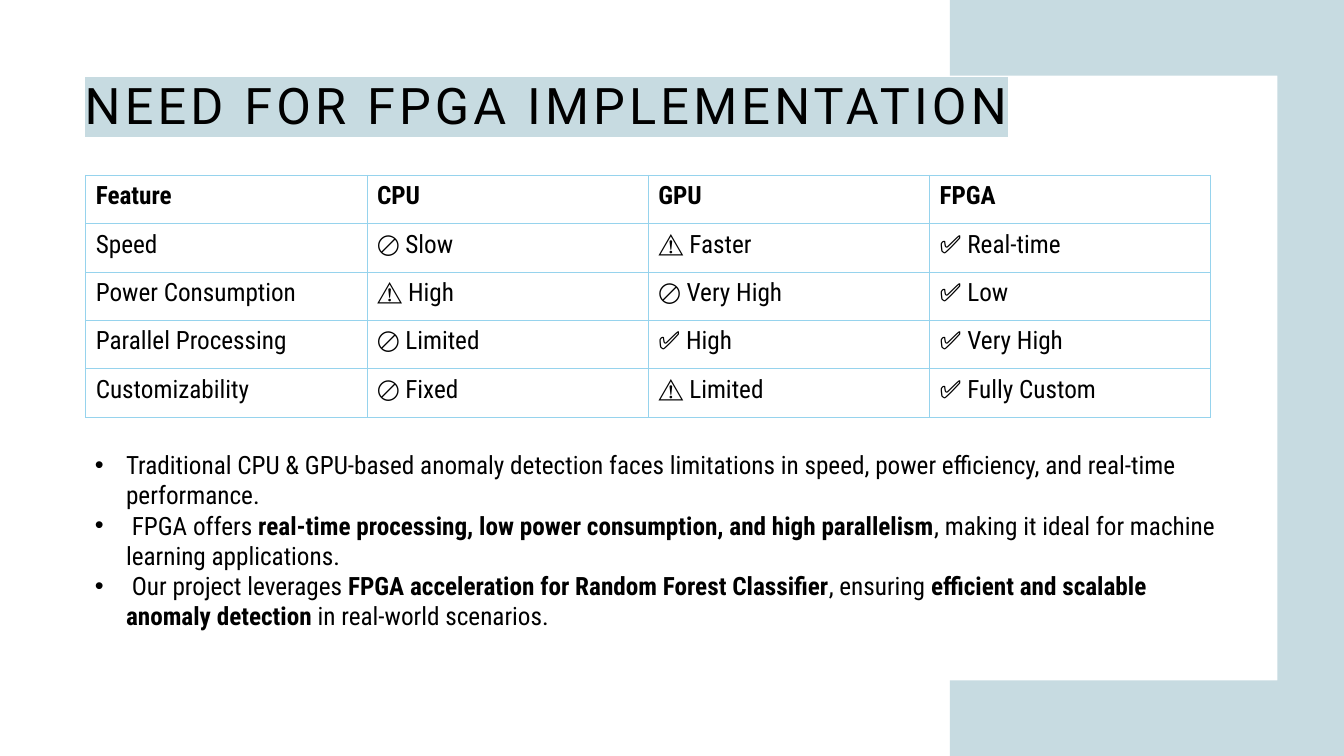
from lxml import etree
from pptx import Presentation
from pptx.dml.color import RGBColor
from pptx.enum.text import MSO_ANCHOR, MSO_AUTO_SIZE, PP_ALIGN
from pptx.oxml.ns import qn
from pptx.util import Inches, Pt

LEFT, TOP = PP_ALIGN.LEFT, MSO_ANCHOR.TOP
GROW, NO_FIT = MSO_AUTO_SIZE.SHAPE_TO_FIT_TEXT, MSO_AUTO_SIZE.NONE

TITLE = "NEED FOR FPGA IMPLEMENTATION"
ROWS = [
    ("Feature", "CPU", "GPU", "FPGA"),
    ("Speed", "🚫 Slow", "⚠️ Faster", "✅ Real-time"),
    ("Power Consumption", "⚠️ High", "🚫 Very High", "✅ Low"),
    ("Parallel Processing", "🚫 Limited", "✅ High", "✅ Very High"),
    ("Customizability", "🚫 Fixed", "⚠️ Limited", "✅ Fully Custom"),
]
# Each bullet alternates plain and bold spans, starting plain.
BULLETS = [
    ("Traditional CPU & GPU-based anomaly detection faces limitations in speed, "
     "power efficiency, and real-time performance.",),
    (" FPGA offers ",
     "real-time processing, low power consumption, and high parallelism",
     ", making it ideal for machine learning applications."),
    (" Our project leverages ", "FPGA acceleration for Random Forest Classifier",
     ", ensuring ", "efficient and scalable anomaly detection",
     " in real-world scenarios."),
]
PALE, SKY, BLACK = "C7DBE1", "96D3ED", "000000"
HEAD_FONT, BODY_FONT = "Roboto", "Roboto Condensed"
WIDTH, HEIGHT = 13.33, 7.5
COLUMN, ROW = 2.79, 0.48
BAND = 0.75
INDENT = 0.31


def color(code):
    return RGBColor.from_string(code)


def place(shape, left, top, width, height):
    shape.left, shape.top = Inches(left), Inches(top)
    shape.width, shape.height = Inches(width), Inches(height)


def add_span(para, text, font, size, bold=False):
    span = para.add_run()
    span.text = text
    span.font.name, span.font.size, span.font.bold = font, Pt(size), bold
    span.font.color.rgb = color(BLACK)
    return span


def add_solid(parent, tag):
    """Append a colour-holding element with a solid fill of the border colour."""
    fill = etree.SubElement(parent, qn(tag))
    etree.SubElement(fill, qn("a:srgbClr"), val=SKY)


def set_borders(cell, top, bottom):
    props = cell._tc.get_or_add_tcPr()
    weights = {"L": 0.75, "R": 0.75, "T": top, "B": bottom}
    for index, (side, weight) in enumerate(weights.items()):
        line = etree.Element(qn("a:ln" + side), w=str(Pt(weight)))
        add_solid(line, "a:solidFill")
        props.insert(index, line)


def add_bracket(slide):
    inner_left, inner_right = 9.42, 12.67
    points = [(inner_left, 0), (WIDTH, 0), (WIDTH, HEIGHT), (inner_left, HEIGHT),
              (inner_left, HEIGHT - BAND), (inner_right, HEIGHT - BAND),
              (inner_right, BAND), (inner_left, BAND)]
    points = [(Inches(x), Inches(y)) for x, y in points]
    builder = slide.shapes.build_freeform(*points[0])
    builder.add_line_segments(points[1:], close=True)
    bracket = builder.convert_to_shape()
    bracket.shadow.inherit = False
    bracket.fill.solid()
    bracket.fill.fore_color.rgb = color(PALE)
    bracket.line.fill.background()


def fill_title(box):
    place(box, 0.84, 0.8, 10.78, 0.89)
    frame = box.text_frame
    frame.margin_left = frame.margin_top = frame.margin_right = frame.margin_bottom = 0
    frame.vertical_anchor, frame.auto_size, frame.word_wrap = TOP, NO_FIT, True
    para = frame.paragraphs[0]
    para.alignment, para.line_spacing = LEFT, 0.9
    props = add_span(para, TITLE, HEAD_FONT, 36)._r.get_or_add_rPr()
    props.set("spc", "300")
    highlight = etree.Element(qn("a:highlight"))
    etree.SubElement(highlight, qn("a:srgbClr"), val=PALE)
    props.find(qn("a:solidFill")).addnext(highlight)


def add_comparison(slide):
    columns = len(ROWS[0])
    table = slide.shapes.add_table(
        len(ROWS), columns, Inches(0.85), Inches(1.74),
        Inches(columns * COLUMN), Inches(len(ROWS) * ROW)).table
    table.first_row = table.horz_banding = False
    for r, row in enumerate(ROWS):
        table.rows[r].height = Inches(ROW)
        for c, text in enumerate(row):
            cell = table.cell(r, c)
            cell.fill.background()
            set_borders(cell, 1.07 if r == 1 else 0.75, 1.07 if r == 0 else 0.75)
            para = cell.text_frame.paragraphs[0]
            para.line_spacing = Pt(21.8)
            add_span(para, text, BODY_FONT, 18, bold=r == 0)


def fill_bullets(box):
    place(box, 0.84, 4.41, 11.34, 1.92)
    frame = box.text_frame
    frame.auto_size, frame.word_wrap, frame.vertical_anchor = GROW, True, TOP
    for index, spans in enumerate(BULLETS):
        para = frame.add_paragraph() if index else frame.paragraphs[0]
        para.space_before = Pt(0)
        props = para._p.get_or_add_pPr()
        props.set("marL", str(Inches(INDENT)))
        props.set("indent", str(-Inches(INDENT)))
        etree.SubElement(props, qn("a:buFont"), typeface="Arial")
        etree.SubElement(props, qn("a:buChar"), char="•")
        for number, text in enumerate(spans):
            add_span(para, text, BODY_FONT, 18, bold=number % 2 == 1)


def main():
    deck = Presentation()
    deck.slide_width, deck.slide_height = Inches(WIDTH), Inches(HEIGHT)
    slide = deck.slides.add_slide(deck.slide_layouts[1])
    add_bracket(slide)
    fill_title(slide.shapes.title)
    add_comparison(slide)
    fill_bullets(slide.placeholders[1])
    deck.save("out.pptx")


if __name__ == "__main__":
    main()
